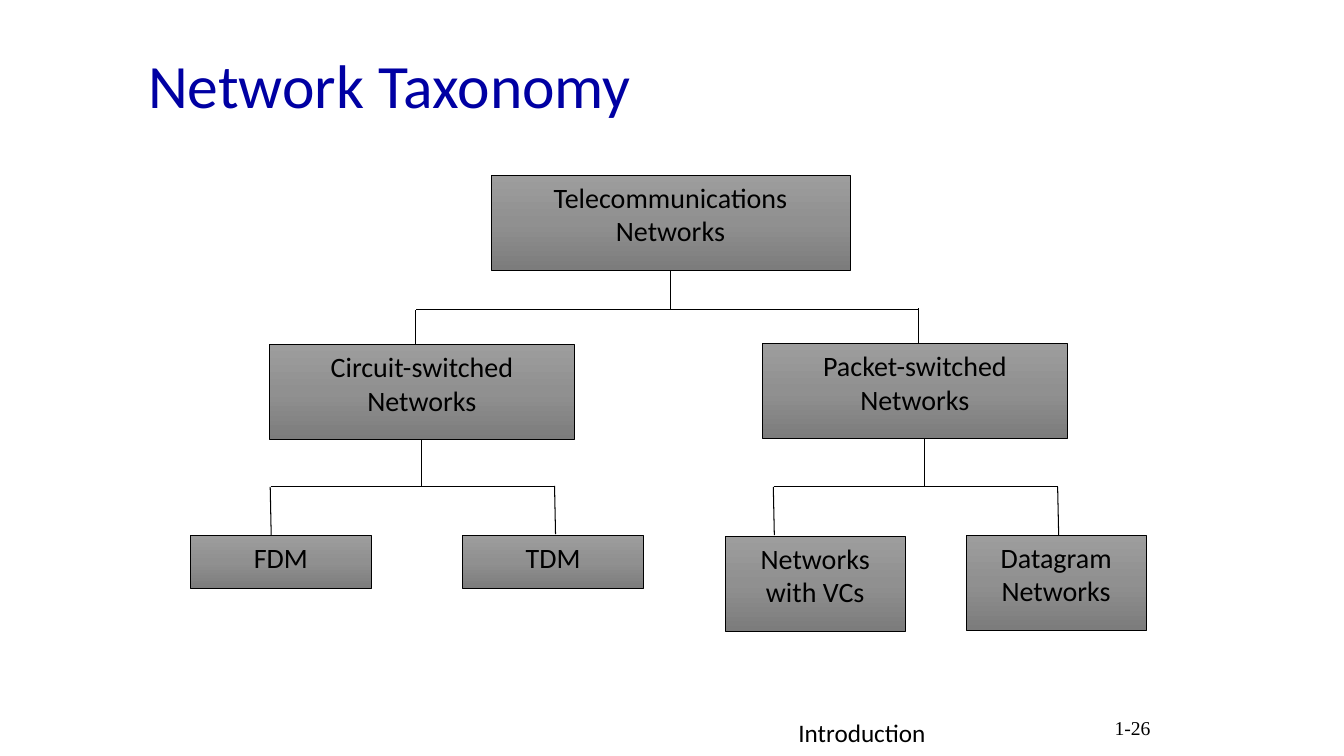
from copy import deepcopy

from pptx import Presentation
from pptx.dml.color import RGBColor
from pptx.enum.shapes import MSO_CONNECTOR as CONNECTOR, MSO_SHAPE as SHAPE
from pptx.enum.text import MSO_ANCHOR as ANCHOR, PP_ALIGN as ALIGN
from pptx.oxml.ns import qn
from pptx.oxml.xmlchemy import OxmlElement
from pptx.util import Pt

EMU_PER_PX = 9144
COLORS = {
    "title": "0000A3",
    "ink": "000000",
    "node_top": "9D9D9D",
    "node_middle": "909090",
    "node_bottom": "7C7C7C",
}
NODES = [
    ("Telecommunications Networks", (487, 174, 356, 94)),
    ("Circuit-switched Networks", (267, 342, 303, 94)),
    ("Packet-switched Networks", (756, 341, 303, 94)),
    ("FDM", (189, 531, 179, 53)),
    ("TDM", (459, 531, 179, 53)),
    ("Networks with VCs", (719, 532, 179, 94)),
    ("Datagram Networks", (958, 531, 179, 94)),
]
FORKS = [
    ((665, 268), 307, (413, 910), [(412, 308, 412, 342), (911, 306, 911, 340)]),
    ((418, 436), 483, (269, 550), [(268, 483, 269, 531), (550, 482, 551, 530)]),
    ((917, 436), 483, (768, 1049), [(767, 483, 768, 531), (1049, 483, 1050, 531)]),
]


def px(*lengths):
    """Turn px lengths into EMU."""
    return [round(length * EMU_PER_PX) for length in lengths]


def color(name):
    """Look up a colour by its role."""
    return RGBColor.from_string(COLORS[name])


def write(holder, text, size, align=ALIGN.LEFT, anchor=ANCHOR.TOP, font="Calibri", ink="ink"):
    """Put one formatted paragraph into a shape."""
    frame = holder.text_frame
    frame.word_wrap = True
    frame.vertical_anchor = anchor
    frame.text = text
    paragraph = frame.paragraphs[0]
    paragraph.alignment = align
    run_font = paragraph.runs[0].font
    run_font.name, run_font.size = font, Pt(size)
    run_font.color.rgb = color(ink)
    return paragraph


def add_title(slide, box):
    """Place the slide heading in its box."""
    title = slide.shapes.title
    title.left, title.top, title.width, title.height = px(*box)
    heading = write(title, "Network Taxonomy", 44, anchor=ANCHOR.MIDDLE, ink="title")
    heading.line_spacing = 0.9


def add_footer(slide, box):
    """Place the chapter name and the page number inside the footer box."""
    left, top, width, height = box
    chapter = slide.shapes.add_textbox(*px(left, top, 311, height))
    write(chapter, "Introduction", 18)
    page = slide.shapes.add_textbox(*px(left + width - 74, top, 74, height))
    write(page, "1-26", 14, ALIGN.RIGHT, ANCHOR.MIDDLE, "Times New Roman")


def shade(node):
    """Fill a node with the three-stop vertical gradient."""
    node.fill.gradient()
    node.fill.gradient_angle = 270
    stop_list = node._element.spPr.find(qn("a:gradFill")).find(qn("a:gsLst"))
    stop_list.append(deepcopy(stop_list[-1]))
    roles = ("node_top", "node_middle", "node_bottom")
    for index, (stop, role) in enumerate(zip(node.fill.gradient_stops, roles)):
        stop.position = index / 2
        stop.color.rgb = color(role)


def add_node(slide, label, box):
    """Draw one labelled network class."""
    node = slide.shapes.add_shape(SHAPE.RECTANGLE, *px(*box))
    node.shadow.inherit = False
    shade(node)
    node.line.color.rgb = color("ink")
    node.line.width = Pt(0.5)
    write(node, label, 20, ALIGN.CENTER)


def add_line(slide, kind, ends):
    """Draw a thin black connector without a shadow."""
    line = slide.shapes.add_connector(kind, *px(*ends))
    line.line.color.rgb = color("ink")
    line.line.width = Pt(0.75)
    line._element.spPr.append(OxmlElement("a:effectLst"))
    return line


def add_elbow(slide, start, bar_y, end_x):
    """Draw a one-bend connector going down and then sideways."""
    x, y = start
    middle_x, middle_y = (x + end_x) / 2, (y + bar_y) / 2
    half_drop, half_reach = (bar_y - y) / 2, abs(end_x - x) / 2
    side = 1 if end_x < x else -1
    ends = (middle_x - side * half_drop, middle_y - half_reach,
            middle_x + side * half_drop, middle_y + half_reach)
    properties = add_line(slide, CONNECTOR.ELBOW, ends)._element.spPr
    properties.find(qn("a:xfrm")).set("rot", str((90 if side == 1 else 270) * 60000))
    properties.find(qn("a:prstGeom")).set("prst", "bentConnector2")


def add_fork(slide, start, bar_y, bar_ends, drops):
    """Draw the branching lines below one node."""
    for end_x in bar_ends:
        add_elbow(slide, start, bar_y, end_x)
    for drop in drops:
        add_line(slide, CONNECTOR.STRAIGHT, drop)


def add_taxonomy(slide):
    """Draw the tree of network classes."""
    for label, box in NODES:
        add_node(slide, label, box)
    for fork in FORKS:
        add_fork(slide, *fork)


def main():
    """Build and save the slide."""
    deck = Presentation()
    deck.slide_width, deck.slide_height = px(1333, 750)
    slide = deck.slides.add_slide(deck.slide_layouts[5])
    add_footer(slide, (782, 707, 369, 30))
    add_title(slide, (137, 25, 963, 125))
    add_taxonomy(slide)
    deck.save("out.pptx")


if __name__ == "__main__":
    main()
